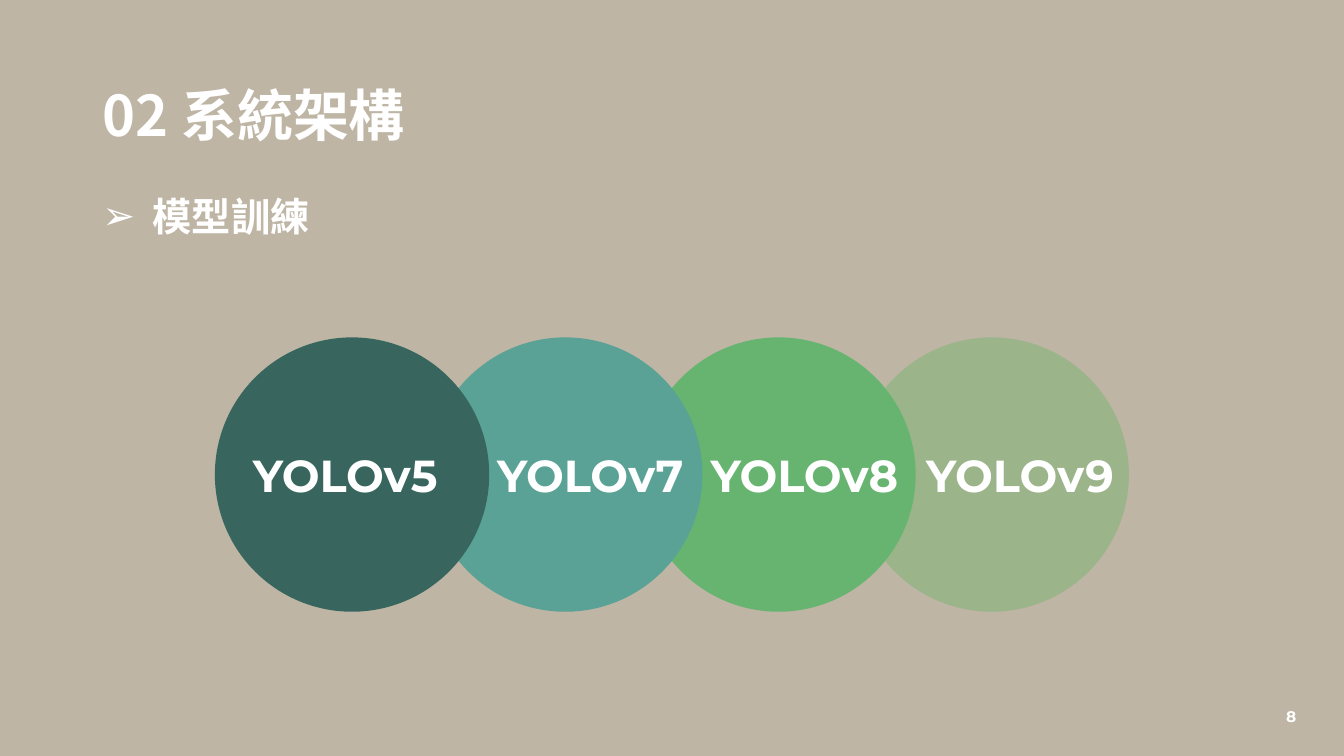
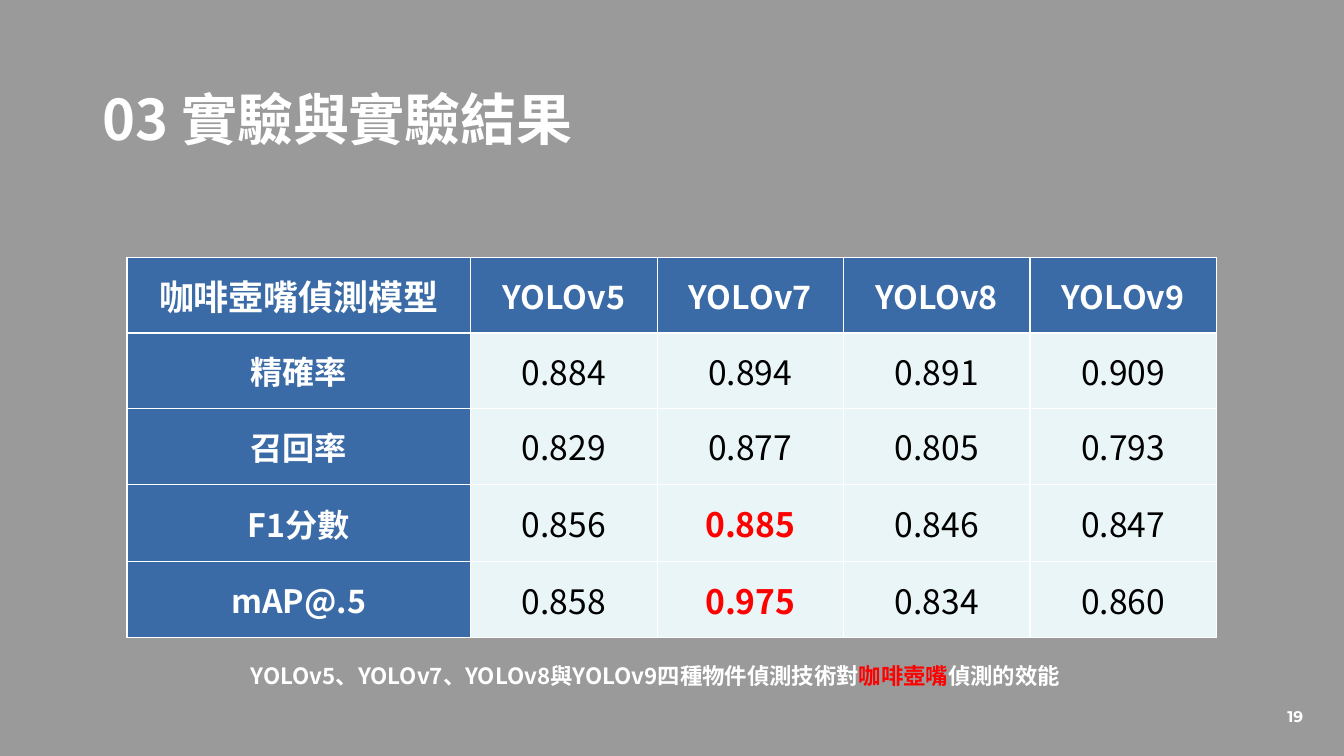
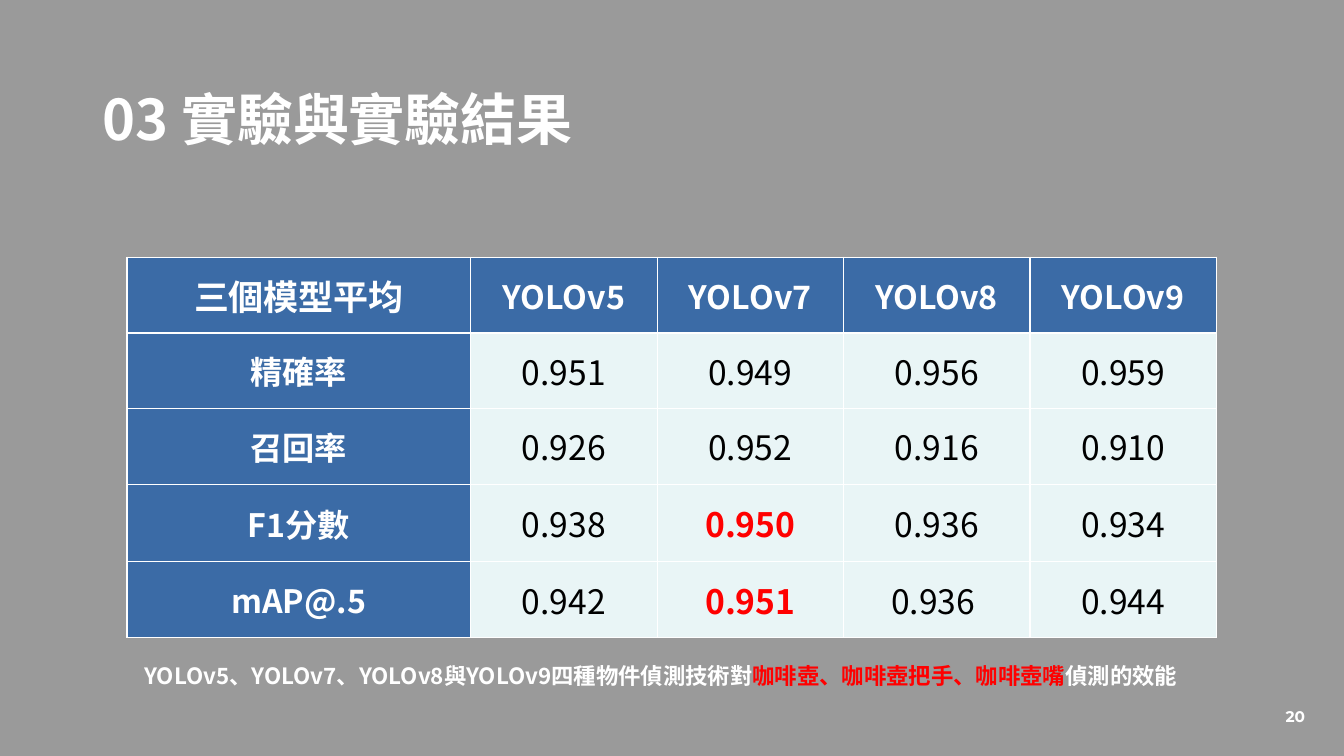
from lxml import etree
from pptx import Presentation
from pptx.dml.color import RGBColor
from pptx.enum import shapes, text
from pptx.oxml import ns
from pptx.util import Pt

W, H = 960, 540
COLORS = {
    "sand": "B9AF9D", "grey": "929292", "white": "FFFFFF", "black": "000000",
    "red": "FF0000", "head": "3B6BA6", "cell": "E9F5F6",
    "pine": "38665E", "teal": "5AA296", "green": "66B470", "sage": "9BB48A",
}
TC, SC, LATIN = "Noto Sans CJK TC", "Noto Sans CJK SC", "Montserrat"
MODELS = ["YOLOv5", "YOLOv7", "YOLOv8", "YOLOv9"]
METRICS = ["精確率", "召回率", "F1分數", "mAP@.5"]
BEST = {(3, 2), (4, 2)}
SPOUT_SCORES = [
    ["0.884", "0.894", "0.891", "0.909"],
    ["0.829", "0.877", "0.805", "0.793"],
    ["0.856", "0.885", "0.846", "0.847"],
    ["0.858", "0.975", "0.834", "0.860"],
]
MEAN_SCORES = [
    ["0.951", "0.949", "0.956", "0.959"],
    ["0.926", "0.952", "0.916", "0.910"],
    ["0.938", "0.950", "0.936", "0.934"],
    ["0.942", "0.951", "0.936 ", "0.944"],
]


def rgb(name):
    return RGBColor.from_string(COLORS[name])


def box(*lengths):
    return [Pt(v) for v in lengths]


def sub(parent, tag, **attrs):
    return etree.SubElement(parent, ns.qn(tag), attrs)


def style(r, size, color="white", bold=True, font=TC):
    """Format a run, with the same typeface for Latin and East Asian text."""
    f = r.font
    f.size, f.bold, f.name = Pt(size), bold, font
    f.color.rgb = rgb(color)
    sub(f._element, "a:ea", typeface=font)


def fill_shape(sp, color):
    sp.shadow.inherit = False
    sp.fill.solid()
    sp.fill.fore_color.rgb = rgb(color)
    sp.line.fill.background()


def add_wash(s, color):
    """Cover the slide with a 92 % opaque colour, behind everything else."""
    sp = s.shapes.add_shape(shapes.MSO_SHAPE.RECTANGLE, *box(0, 0, W, H))
    fill_shape(sp, color)
    clr = sp._element.spPr.find(".//" + ns.qn("a:srgbClr"))
    sub(clr, "a:alpha", val="92000")
    s.shapes._spTree.insert(2, sp._element)


def fill_placeholder(sp, words, size, left, top, width, height):
    sp.left, sp.top, sp.width, sp.height = box(left, top, width, height)
    tf = sp.text_frame
    tf.text = words
    tf.auto_size = text.MSO_AUTO_SIZE.SHAPE_TO_FIT_TEXT
    tf.vertical_anchor = text.MSO_ANCHOR.TOP
    p = tf.paragraphs[0]
    p.alignment = text.PP_ALIGN.LEFT
    p.space_before = Pt(0)
    style(p.runs[0], size)
    return p


def add_bullet(p, char, indent):
    pPr = p._p.get_or_add_pPr()
    pPr.set("marL", str(Pt(indent)))
    pPr.set("indent", str(-Pt(indent)))
    sub(pPr, "a:buChar", char=char)


def add_text(s, words, left, top, width, height, size, font=TC):
    tf = s.shapes.add_textbox(*box(left, top, width, height)).text_frame
    tf.word_wrap = True
    p = tf.paragraphs[0]
    p.text = words
    style(p.runs[0], size, font=font)
    return tf


def add_slide(prs, layout, wash, title, title_top, title_width, number, number_left):
    s = prs.slides.add_slide(prs.slide_layouts[layout])
    add_wash(s, wash)
    fill_placeholder(s.shapes.title, title, 40, 66, title_top, title_width, 56)
    tf = add_text(s, number, number_left, 497, 44.6, 29, 11, LATIN)
    tf.vertical_anchor = text.MSO_ANCHOR.MIDDLE
    tf.paragraphs[0].alignment = text.PP_ALIGN.CENTER
    return s


def add_model_circles(s):
    """Overlapping circles, the first model in front, with their labels."""
    left, top, size, step = 153.5, 241, 196, 152.3
    group = s.shapes.add_group_shape()
    fills = ["pine", "teal", "green", "sage"]
    for i, color in reversed(list(enumerate(fills))):
        sp = group.shapes.add_shape(
            shapes.MSO_SHAPE.OVAL, *box(left + i * step, top, size, size))
        fill_shape(sp, color)
    for model, label_left in zip(MODELS, [173.5, 348, 500.5, 654.5]):
        add_text(s, model, label_left, 316, 158, 46, 32, LATIN)


def add_borders(cell):
    tcPr = cell._tc.get_or_add_tcPr()
    for i, side in enumerate(("lnL", "lnR", "lnT", "lnB")):
        ln = sub(tcPr, "a:" + side, w=str(Pt(1)))
        sub(sub(ln, "a:solidFill"), "a:srgbClr", val=COLORS["white"])
        tcPr.insert(i, ln)


def fill_cell(cell, words, fill, size, color, bold):
    cell.fill.solid()
    cell.fill.fore_color.rgb = rgb(fill)
    add_borders(cell)
    cell.vertical_anchor = text.MSO_ANCHOR.MIDDLE
    p = cell.text_frame.paragraphs[0]
    p.text = words
    p.alignment = text.PP_ALIGN.CENTER
    style(p.runs[0], size, color, bold)


def add_scores(s, corner, scores):
    rows = [[corner] + MODELS] + [[m] + v for m, v in zip(METRICS, scores)]
    widths, heights = [245.5] + [133.2] * 4, [54, 54, 54, 55.4, 54]
    frame = s.shapes.add_table(
        len(rows), len(widths), *box(90.7, 183.8, sum(widths), sum(heights)))
    table = frame.table
    table.first_row = table.horz_banding = False
    for col, width in zip(table.columns, widths):
        col.width = Pt(width)
    for row, height in zip(table.rows, heights):
        row.height = Pt(height)
    for i, row in enumerate(rows):
        for j, words in enumerate(row):
            if i == 0 or j == 0:
                look = ("head", 25 if i == j else 23, "white", True)
            elif (i, j) in BEST:
                look = ("cell", 24, "red", True)
            else:
                look = ("cell", 24, "black", False)
            fill_cell(table.cell(i, j), words, *look)


def add_caption(s, subject, left, width, subject_font):
    tf = add_text(s, "YOLOv5、YOLOv7、YOLOv8與YOLOv9四種物件偵測技術對",
                  left, 469.5, width, 26.6, 16)
    for words, color, font in ((subject, "red", subject_font),
                               ("偵測的效能", "white", TC)):
        r = tf.paragraphs[0].add_run()
        r.text = words
        style(r, 16, color, font=font)


def main():
    prs = Presentation()
    prs.slide_width, prs.slide_height = Pt(W), Pt(H)

    s = add_slide(prs, 1, "sand", "02 系統架構", 54, 533, "8", 900)
    p = fill_placeholder(s.placeholders[1], "模型訓練", 28, 66, 134, 182, 41)
    add_bullet(p, "➢", 36)
    add_model_circles(s)

    results = [
        ("19", 361.5, "咖啡壺嘴偵測模型", SPOUT_SCORES, "咖啡壺嘴", 172, 618, TC),
        ("20", 353.5, "三個模型平均", MEAN_SCORES,
         "咖啡壺、咖啡壺把手、咖啡壺嘴", 96, 768, SC),
    ]
    for number, title_width, corner, scores, subject, left, width, font in results:
        s = add_slide(prs, 5, "grey", "03 實驗與實驗結果", 57, title_width, number, 903)
        add_scores(s, corner, scores)
        add_caption(s, subject, left, width, font)

    prs.save("out.pptx")


if __name__ == "__main__":
    main()
